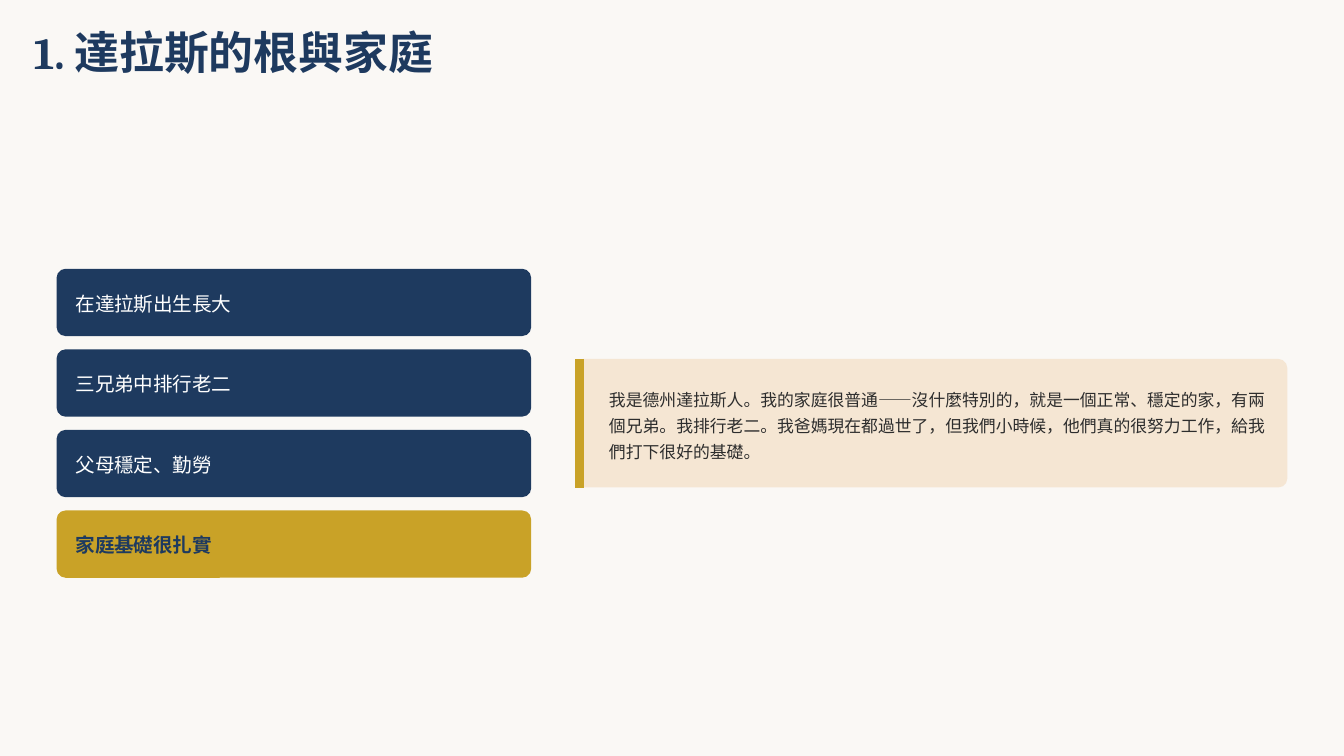
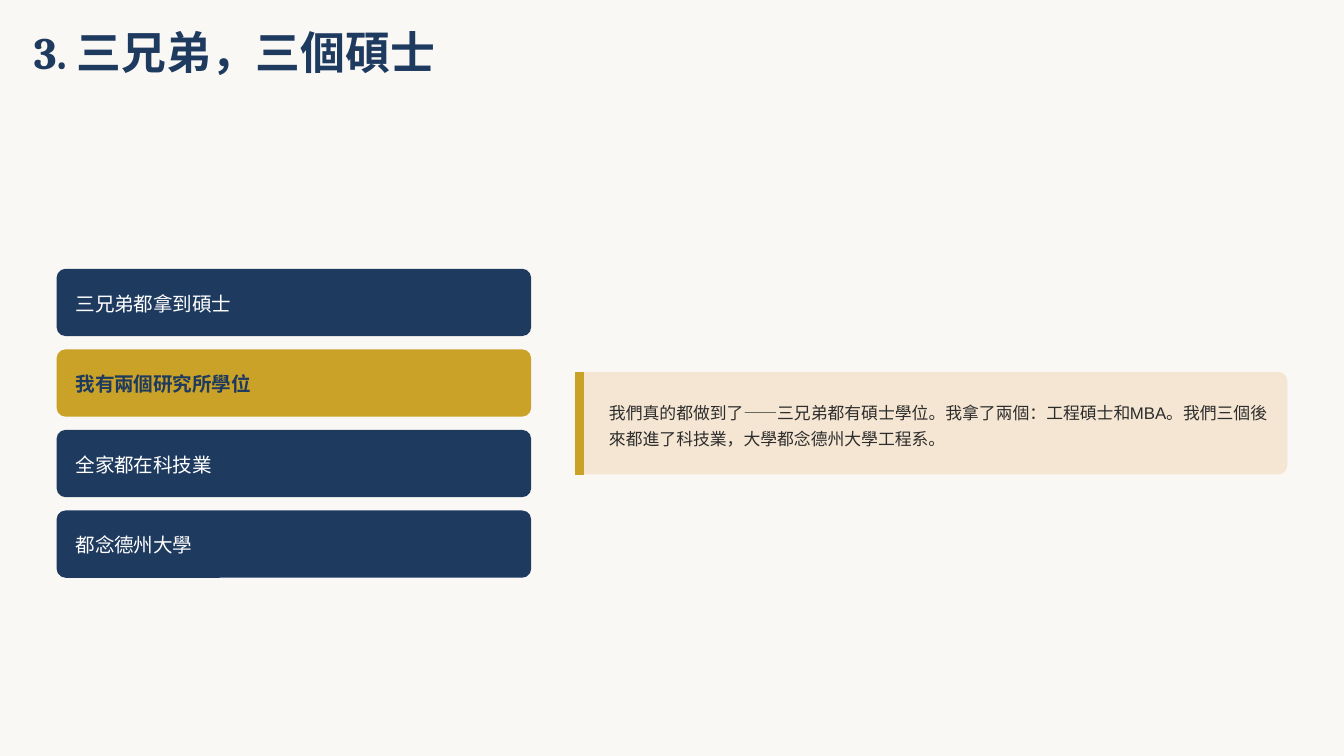
from dataclasses import dataclass

from lxml.etree import SubElement
from pptx import Presentation
from pptx.dml.color import RGBColor
from pptx.enum.shapes import MSO_CONNECTOR, MSO_SHAPE
from pptx.enum.text import MSO_ANCHOR, MSO_AUTO_SIZE, PP_ALIGN
from pptx.oxml.ns import qn
from pptx.util import Cm, Pt


@dataclass(frozen=True)
class Theme:
    """Colours, fonts and type sizes shared by the slides."""

    paper: str = "FAF8F5"
    navy: str = "1E3A5F"
    gold: str = "C9A227"
    sand: str = "F5E6D3"
    ink: str = "2D2D2D"
    white: str = "FFFFFF"
    heading_font: str = "Cambria"
    body_font: str = "Arial"
    title_size: float = 24
    card_size: float = 10.5
    quote_size: float = 9


@dataclass(frozen=True)
class Box:
    """A rectangle in centimetres."""

    left: float
    top: float
    width: float
    height: float

    def lengths(self):
        """Return the four measures as slide lengths."""
        return Cm(self.left), Cm(self.top), Cm(self.width), Cm(self.height)


@dataclass(frozen=True)
class Story:
    """The content of one slide."""

    title: str
    points: tuple
    highlight: int
    quote: str
    quote_lines: int


THEME = Theme()
TITLE_BOX = Box(0.64, 0.64, 12.34, 0.84)
POINTS_BOX = Box(1.07, 5.08, 8.97, 5.84)
QUOTE_BOX = Box(10.87, 5.08, 13.46, 5.84)
CARD_GAP = 0.25
CORNER_RADIUS = 0.17
QUOTE_LINE_HEIGHT = 0.49

STORIES = (
    Story(
        title="1. 達拉斯的根與家庭",
        points=("在達拉斯出生長大", "三兄弟中排行老二", "父母穩定、勤勞", "家庭基礎很扎實"),
        highlight=3,
        quote="我是德州達拉斯人。我的家庭很普通——沒什麼特別的，就是一個正常、穩定的家，"
        "有兩個兄弟。我排行老二。我爸媽現在都過世了，但我們小時候，"
        "他們真的很努力工作，給我們打下很好的基礎。",
        quote_lines=3,
    ),
    Story(
        title="3. 三兄弟，三個碩士",
        points=("三兄弟都拿到碩士", "我有兩個研究所學位", "全家都在科技業", "都念德州大學"),
        highlight=1,
        quote="我們真的都做到了——三兄弟都有碩士學位。我拿了兩個：工程碩士和MBA。"
        "我們三個後來都進了科技業，大學都念德州大學工程系。",
        quote_lines=2,
    ),
)


def color(value):
    """Turn a hex value into a colour."""
    return RGBColor.from_string(value)


def write_text(shape, text, *, size, fill, leading, font=THEME.body_font, bold=False):
    """Write one left-aligned paragraph into a shape without insets."""
    frame = shape.text_frame
    frame.word_wrap = True
    frame.auto_size = MSO_AUTO_SIZE.NONE
    frame.vertical_anchor = MSO_ANCHOR.TOP
    frame.margin_left = frame.margin_right = 0
    frame.margin_top = frame.margin_bottom = 0
    paragraph = frame.paragraphs[0]
    paragraph.alignment = PP_ALIGN.LEFT
    paragraph.line_spacing = Pt(leading)
    run = paragraph.add_run()
    run.text = text
    run.font.name = font
    run.font.size = Pt(size)
    run.font.bold = bold
    run.font.color.rgb = color(fill)


def add_panel(slide, box, fill):
    """Add a filled panel with the shared corner radius."""
    panel = slide.shapes.add_shape(MSO_SHAPE.ROUNDED_RECTANGLE, *box.lengths())
    panel.adjustments[0] = CORNER_RADIUS / box.height
    panel.shadow.inherit = False
    panel.fill.solid()
    panel.fill.fore_color.rgb = color(fill)
    panel.line.fill.background()


def add_title(slide, box, text):
    """Place and format the title placeholder."""
    title = slide.shapes.title
    title.left, title.top, title.width, title.height = box.lengths()
    write_text(title, text, size=THEME.title_size, fill=THEME.navy,
               leading=THEME.title_size, font=THEME.heading_font, bold=True)


def add_point_cards(slide, box, points, highlight):
    """Stack equal cards in the box, with one of them highlighted."""
    height = (box.height - CARD_GAP * (len(points) - 1)) / len(points)
    for index, point in enumerate(points):
        strong = index == highlight
        top = box.top + index * (height + CARD_GAP)
        add_panel(slide, Box(box.left, top, box.width, height),
                  THEME.gold if strong else THEME.navy)
        label_box = Box(box.left + 0.36, top + 0.36, box.width - 0.56, 0.52)
        label = slide.shapes.add_textbox(*label_box.lengths())
        write_text(label, point, size=THEME.card_size, leading=14.7, bold=strong,
                   fill=THEME.navy if strong else THEME.white)


def add_quote(slide, box, text, line_count):
    """Centre a quote panel with an accent bar vertically in the box."""
    padding = 0.48
    text_height = line_count * QUOTE_LINE_HEIGHT
    height = text_height + 2 * padding
    top = box.top + (box.height - height) / 2
    add_panel(slide, Box(box.left, top, box.width, height), THEME.sand)

    accent_left = Cm(box.left + 0.08)
    accent = slide.shapes.add_connector(
        MSO_CONNECTOR.STRAIGHT, accent_left, Cm(top), accent_left, Cm(top + height))
    accent.line.color.rgb = color(THEME.gold)
    accent.line.width = Pt(4.5)
    SubElement(accent._element.spPr, qn("a:effectLst"))

    quote_box = Box(box.left + 0.64, top + padding, box.width - 0.86, text_height)
    quote = slide.shapes.add_textbox(*quote_box.lengths())
    write_text(quote, text, size=THEME.quote_size, fill=THEME.ink, leading=13.9)


def add_story_slide(presentation, story):
    """Add a slide with a title, point cards and a quote."""
    slide = presentation.slides.add_slide(presentation.slide_layouts.get_by_name("Title Only"))
    add_title(slide, TITLE_BOX, story.title)
    add_point_cards(slide, POINTS_BOX, story.points, story.highlight)
    add_quote(slide, QUOTE_BOX, story.quote, story.quote_lines)


def main():
    """Build and save the presentation."""
    presentation = Presentation()
    presentation.slide_width, presentation.slide_height = Cm(25.4), Cm(14.29)
    background = presentation.slide_master.background.fill
    background.solid()
    background.fore_color.rgb = color(THEME.paper)
    for story in STORIES:
        add_story_slide(presentation, story)
    presentation.save("out.pptx")


if __name__ == "__main__":
    main()
